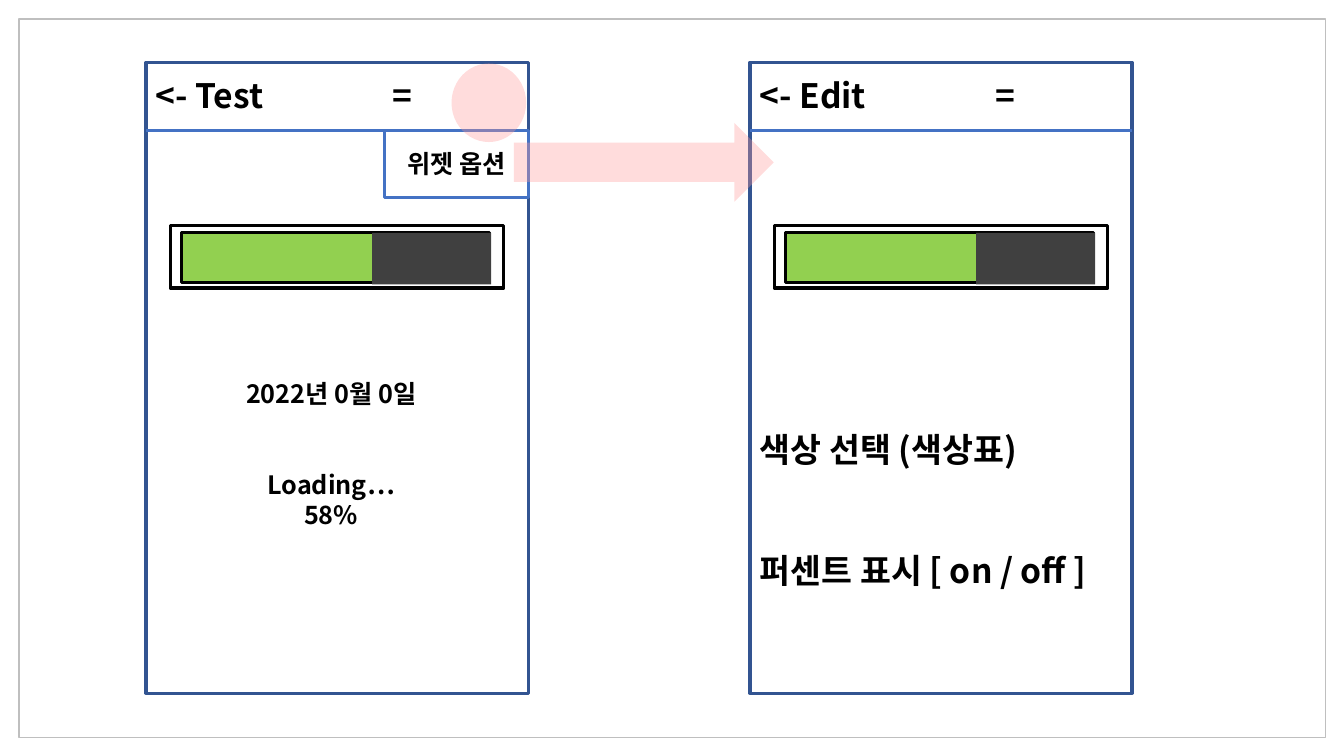
"""Build a wireframe slide: a widget screen leading to its edit screen."""
from lxml import etree
from pptx import Presentation
from pptx.dml.color import RGBColor
from pptx.enum.shapes import MSO_CONNECTOR, MSO_SHAPE
from pptx.enum.text import MSO_ANCHOR, PP_ALIGN
from pptx.oxml.ns import qn
from pptx.util import Cm, Pt

RECTANGLE, OVAL, ARROW = MSO_SHAPE.RECTANGLE, MSO_SHAPE.OVAL, MSO_SHAPE.RIGHT_ARROW
STRAIGHT = MSO_CONNECTOR.STRAIGHT
LEFT, CENTER = PP_ALIGN.LEFT, PP_ALIGN.CENTER
TOP, MIDDLE = MSO_ANCHOR.TOP, MSO_ANCHOR.MIDDLE

FONT = "Noto Sans CJK KR"
COLORS = {
    "white": "FFFFFF", "black": "000000", "frame": "BFBFBF", "border": "325491",
    "divider": "4472C4", "charge": "92D050", "empty": "404040", "highlight": "FF9999",
}
SCREENS = [(3.68, "<- Test\t="), (18.9, "<- Edit\t=")]
SCREEN_TOP, SCREEN_WIDTH, SCREEN_HEIGHT = 1.57, 9.63, 15.9
DIVIDER_TOP = 3.28
HEADER_TAB = 5.95
BATTERY = [
    (0.61, 5.69, 8.41, 1.57, "white", "black"),
    (0.89, 5.87, 7.77, 1.24, "charge", "black"),
    (5.7, 5.87, 3, 1.3, "empty", None),
]
STATUS = ["2022년 0월 0일", "Loading… 58%"]
OPTIONS = ["색상 선택 (색상표)", "퍼센트 표시 [ on / off ]"]
MENU_ITEM = ["위젯 옵션"]
MENU_WIDTH, MENU_HEIGHT = 3.61, 1.7
HIGHLIGHTS = [(OVAL, (11.38, 1.6, 1.88, 1.98)), (ARROW, (12.95, 3.1, 6.55, 1.98))]
LINE_RATIO, BLANK_LINES = 1.2, 2


def color(name):
    return RGBColor.from_string(COLORS[name])


def add_box(slide, box, fill, line=None, width=2.25, kind=RECTANGLE):
    shape = slide.shapes.add_shape(kind, *map(Cm, box))
    shape.shadow.inherit = False
    if fill:
        shape.fill.solid()
        shape.fill.fore_color.rgb = color(fill)
    else:
        shape.fill.background()
    if line:
        shape.line.color.rgb = color(line)
        shape.line.width = Pt(width)
    else:
        shape.line.fill.background()
    return shape


def write(shape, lines, size, align=LEFT, anchor=TOP):
    frame = shape.text_frame
    frame.word_wrap = True
    frame.vertical_anchor = anchor
    font_format = {"name": FONT, "size": Pt(size), "bold": True}
    for index, line in enumerate(lines):
        paragraph = frame.paragraphs[0] if index == 0 else frame.add_paragraph()
        paragraph.alignment = align
        paragraph.line_spacing = Pt(size * LINE_RATIO)
        if index:
            paragraph.space_before = Pt(size * LINE_RATIO * BLANK_LINES)
        run = paragraph.add_run()
        run.text = line
        for name, value in font_format.items():
            setattr(run.font, name, value)
        run.font.color.rgb = color("black")
        east_asian = etree.SubElement(run.font._element, qn("a:ea"))
        east_asian.set("typeface", FONT)


def add_text(slide, box, lines, size, align=LEFT):
    shape = slide.shapes.add_textbox(*map(Cm, box))
    write(shape, lines, size, align)
    return shape


def add_screen(slide, left, header):
    add_box(slide, (left, SCREEN_TOP, SCREEN_WIDTH, SCREEN_HEIGHT), "white", "border")
    ends = (left, DIVIDER_TOP, left + SCREEN_WIDTH, DIVIDER_TOP)
    divider = slide.shapes.add_connector(STRAIGHT, *map(Cm, ends))
    divider.line.color.rgb = color("divider")
    divider.line.width = Pt(2.25)
    etree.SubElement(divider._element.spPr, qn("a:effectLst"))
    title = add_text(slide, (left, 1.77, 9.35, 1.27), [header], 24)
    properties = title.text_frame.paragraphs[0]._p.get_or_add_pPr()
    stops = etree.SubElement(properties, qn("a:tabLst"))
    etree.SubElement(stops, qn("a:tab"), pos=str(Cm(HEADER_TAB)), algn="l")
    for offset, top, width, height, fill, line in BATTERY:
        add_box(slide, (left + offset, top, width, height), fill, line)


def main():
    presentation = Presentation()
    presentation.slide_width, presentation.slide_height = Cm(33.87), Cm(19.05)
    slide = presentation.slides.add_slide(presentation.slide_layouts[6])
    add_box(slide, (0.48, 0.48, 32.92, 18.11), None, "frame", 1)
    for left, header in SCREENS:
        add_screen(slide, left, header)
    add_text(slide, (5.79, 9.42, 5.11, 4.11), STATUS, 18, CENTER)
    add_text(slide, (SCREENS[1][0], 10.69, 9.8, 4.37), OPTIONS, 24)
    menu_left = SCREENS[0][0] + SCREEN_WIDTH - MENU_WIDTH
    menu = add_box(slide, (menu_left, DIVIDER_TOP, MENU_WIDTH, MENU_HEIGHT), "white", "divider")
    write(menu, MENU_ITEM, 18, CENTER, MIDDLE)
    for kind, box in HIGHLIGHTS:
        shape = add_box(slide, box, "highlight", kind=kind)
        fill = shape._element.spPr.find(qn("a:solidFill"))
        etree.SubElement(fill[0], qn("a:alpha"), val="34000")
    presentation.save("out.pptx")


if __name__ == "__main__":
    main()
